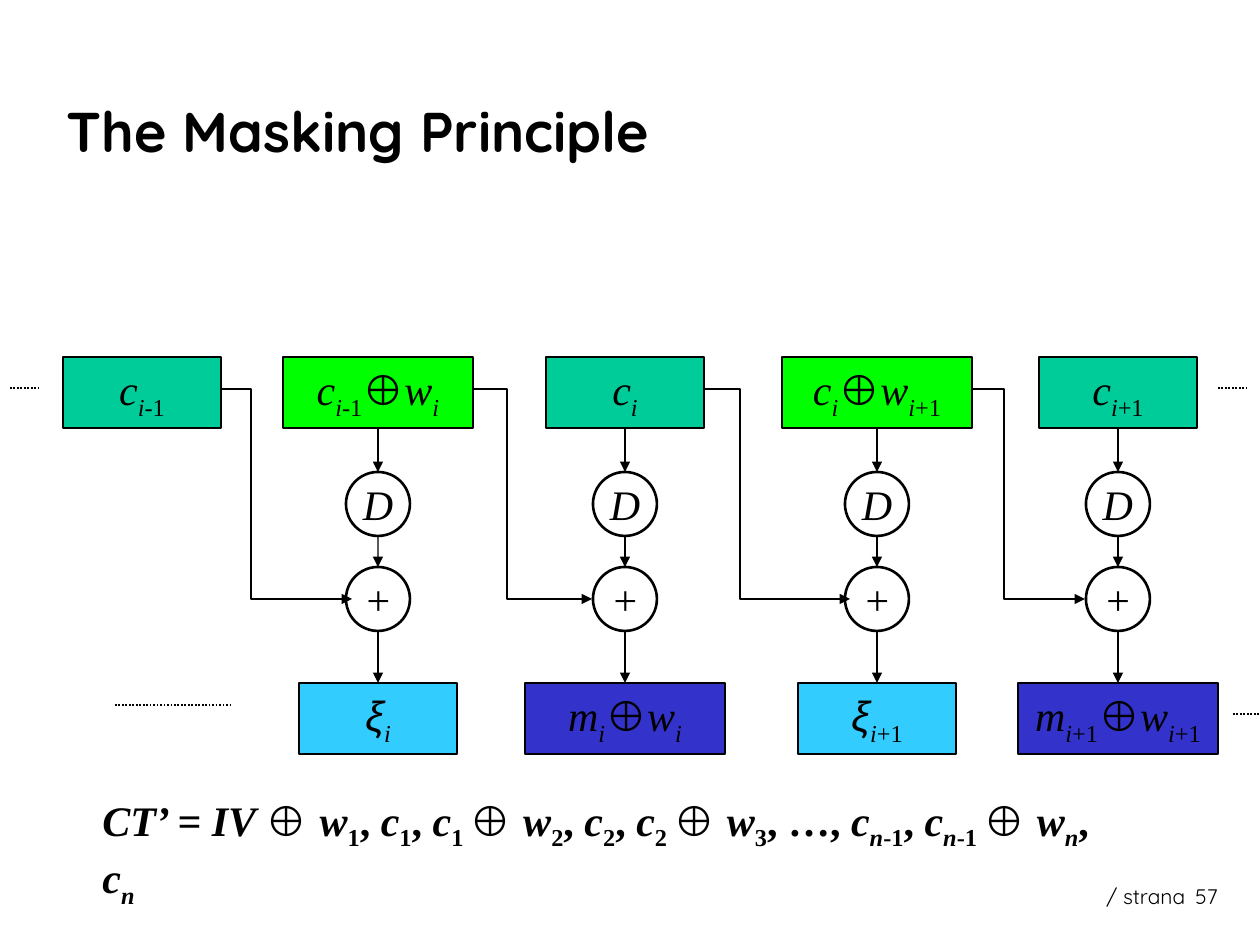
"""Build the slide on the masking principle: a chained decryption diagram with its formula."""
from dataclasses import dataclass

from lxml.etree import SubElement
from pptx import Presentation
from pptx.dml.color import RGBColor
from pptx.enum.dml import MSO_LINE
from pptx.enum.shapes import MSO_CONNECTOR, MSO_SHAPE
from pptx.enum.text import MSO_ANCHOR, MSO_AUTO_SIZE, PP_ALIGN
from pptx.oxml.ns import qn
from pptx.util import Emu, Pt


@dataclass(frozen=True)
class Theme:
    ink: RGBColor = RGBColor(0x00, 0x00, 0x00)
    cipher: RGBColor = RGBColor(0x00, 0xCC, 0x99)
    masked: RGBColor = RGBColor(0x00, 0xFF, 0x00)
    noise: RGBColor = RGBColor(0x33, 0xCC, 0xFF)
    message: RGBColor = RGBColor(0x33, 0x33, 0xCC)
    heading_font: str = "Quicksand"
    math_font: str = "Times New Roman"
    symbol_font: str = "Arial"
    title_size: Pt = Pt(32)
    math_size: Pt = Pt(24)
    footer_size: Pt = Pt(12)


theme = Theme()
PX = 914400 / 126
BOX_HEIGHT, CIRCLE = 71, 64
TOP_ROW, DECRYPT_ROW, SUM_ROW, BOTTOM_ROW = 357, 472, 567, 683


def write_math(para, label, bold=False):
    for part in label.split("|"):
        span = para.add_run()
        span.text = part.removeprefix("_")
        font = span.font
        font.size, font.bold = theme.math_size, bold
        font.color.rgb = theme.ink
        font.name = theme.symbol_font if part[0] in "⊕ξ" else theme.math_font
        font.italic = part == "+" or any(letter.isalpha() for letter in part)
        if part.startswith("_"):
            font._element.set("baseline", "-25000")


def draw_link(kind, start, end, width, arrow=True):
    points = [Emu(round(value * PX)) for value in (*start, *end)]
    link = page.shapes.add_connector(kind, *points)
    link.line.color.rgb = theme.ink
    link.line.width = Pt(width)
    if arrow:
        SubElement(link.line._get_or_add_ln(), qn("a:tailEnd"), type="triangle")
    SubElement(link._element.spPr, qn("a:effectLst"))
    return link


deck = Presentation()
deck.slide_width, deck.slide_height = Emu(round(1260 * PX)), Emu(round(945 * PX))
page = deck.slides.add_slide(deck.slide_layouts[5])

title = page.shapes.title
title.left, title.top, title.width, title.height = [Emu(round(v * PX)) for v in (54, 96, 863, 69)]
title.text_frame.text = "The Masking Principle"
title.text_frame.auto_size = MSO_AUTO_SIZE.NONE
title.text_frame.vertical_anchor = MSO_ANCHOR.MIDDLE
para = title.text_frame.paragraphs[0]
para.alignment = PP_ALIGN.LEFT
para.font.name, para.font.size, para.font.bold = theme.heading_font, theme.title_size, True
para.font.color.rgb = theme.ink

centres = (142, 378, 625, 877, 1118)
top_boxes = [
    ("c|_i|_-1", 158, theme.cipher),
    ("c|_i|_-1|⊕|w|_i", 190, theme.masked),
    ("c|_i", 158, theme.cipher),
    ("c|_i|⊕|w|_i|_+1", 190, theme.masked),
    ("c|_i|_+1", 158, theme.cipher),
]
bottom_boxes = [
    ("ξ|_i", 158, theme.noise),
    ("m|_i|⊕|w|_i", 200, theme.message),
    ("ξ|_i|_+1", 158, theme.noise),
    ("m|_i|_+1|⊕|w|_i|_+1", 200, theme.message),
]

nodes = [(MSO_SHAPE.RECTANGLE, centre, TOP_ROW, width, BOX_HEIGHT, label, fill)
         for centre, (label, width, fill) in zip(centres, top_boxes)]
for row, label in ((DECRYPT_ROW, "D"), (SUM_ROW, "+")):
    nodes += [(MSO_SHAPE.OVAL, centre, row, CIRCLE, CIRCLE, label, None) for centre in centres[1:]]
nodes += [(MSO_SHAPE.RECTANGLE, centre, BOTTOM_ROW, width, BOX_HEIGHT, label, fill)
          for centre, (label, width, fill) in zip(centres[1:], bottom_boxes)]

placed = {}
for kind, centre, top, width, height, label, fill in nodes:
    frame = [Emu(round(v * PX)) for v in (centre - width // 2, top, width, height)]
    node = page.shapes.add_shape(kind, *frame)
    node.shadow.inherit = False
    node.line.color.rgb, node.line.width = theme.ink, Pt(1.5)
    if fill is None:
        node.fill.background()
    else:
        node.fill.solid()
        node.fill.fore_color.rgb = fill
    text = node.text_frame
    text.word_wrap = False
    text.vertical_anchor = MSO_ANCHOR.MIDDLE
    text.paragraphs[0].alignment = PP_ALIGN.CENTER
    write_math(text.paragraphs[0], label)
    placed[centre, top] = node

elbows = ((222, 251, 352), (474, 507, 592), (704, 740, 850), (973, 1004, 1085))
for start, bend, end in elbows:
    elbow = draw_link(MSO_CONNECTOR.ELBOW, (start, 389), (end, SUM_ROW + CIRCLE // 2), 0.75)
    share = round((bend - start) / (end - start) * 100000)
    guides = elbow._element.spPr.prstGeom.get_or_add_avLst()
    SubElement(guides, qn("a:gd"), name="adj1", fmla=f"val {share}")

for centre in centres[1:]:
    feed = draw_link(MSO_CONNECTOR.STRAIGHT, (centre, TOP_ROW + BOX_HEIGHT), (centre, DECRYPT_ROW), 0.75)
    feed.begin_connect(placed[centre, TOP_ROW], 2)
    feed.end_connect(placed[centre, DECRYPT_ROW], 0)
    add = draw_link(MSO_CONNECTOR.STRAIGHT, (centre, DECRYPT_ROW + CIRCLE), (centre, SUM_ROW), 0.75)
    add.end_connect(placed[centre, SUM_ROW], 0)
    result = draw_link(MSO_CONNECTOR.STRAIGHT, (centre, SUM_ROW + CIRCLE), (centre, BOTTOM_ROW), 0.75)
    result.end_connect(placed[centre, BOTTOM_ROW], 0)

for start, end, level in ((10, 41, 388), (1218, 1249, 388), (115, 230, 705), (1233, 1260, 714)):
    dots = draw_link(MSO_CONNECTOR.STRAIGHT, (start, level), (end, level), 1, arrow=False)
    dots.line.dash_style = MSO_LINE.ROUND_DOT

formula = page.shapes.add_textbox(*[Emu(round(v * PX)) for v in (90, 788, 1030, 71)])
formula.text_frame.word_wrap = True
write_math(
    formula.text_frame.paragraphs[0],
    "CT’ = IV |⊕ |w|_1|, |c|_1|, |c|_1 |⊕ |w|_2|, |c|_2|, |c|_2 |⊕ |w|_3|, …, |"
    "c|_n|_-1|, |c|_n|_-1 |⊕ |w|_n|, |c|_n",
    bold=True,
)

for left, width, label in ((1094, 105, "/ strana"), (1183, 77, "57")):
    footer = page.shapes.add_textbox(*[Emu(round(v * PX)) for v in (left, 877, width, 32)])
    footer.text_frame.text = label
    footer.text_frame.word_wrap = True
    font = footer.text_frame.paragraphs[0].runs[0].font
    font.name, font.size = theme.heading_font, theme.footer_size
    font.color.rgb = theme.ink

deck.save("out.pptx")
